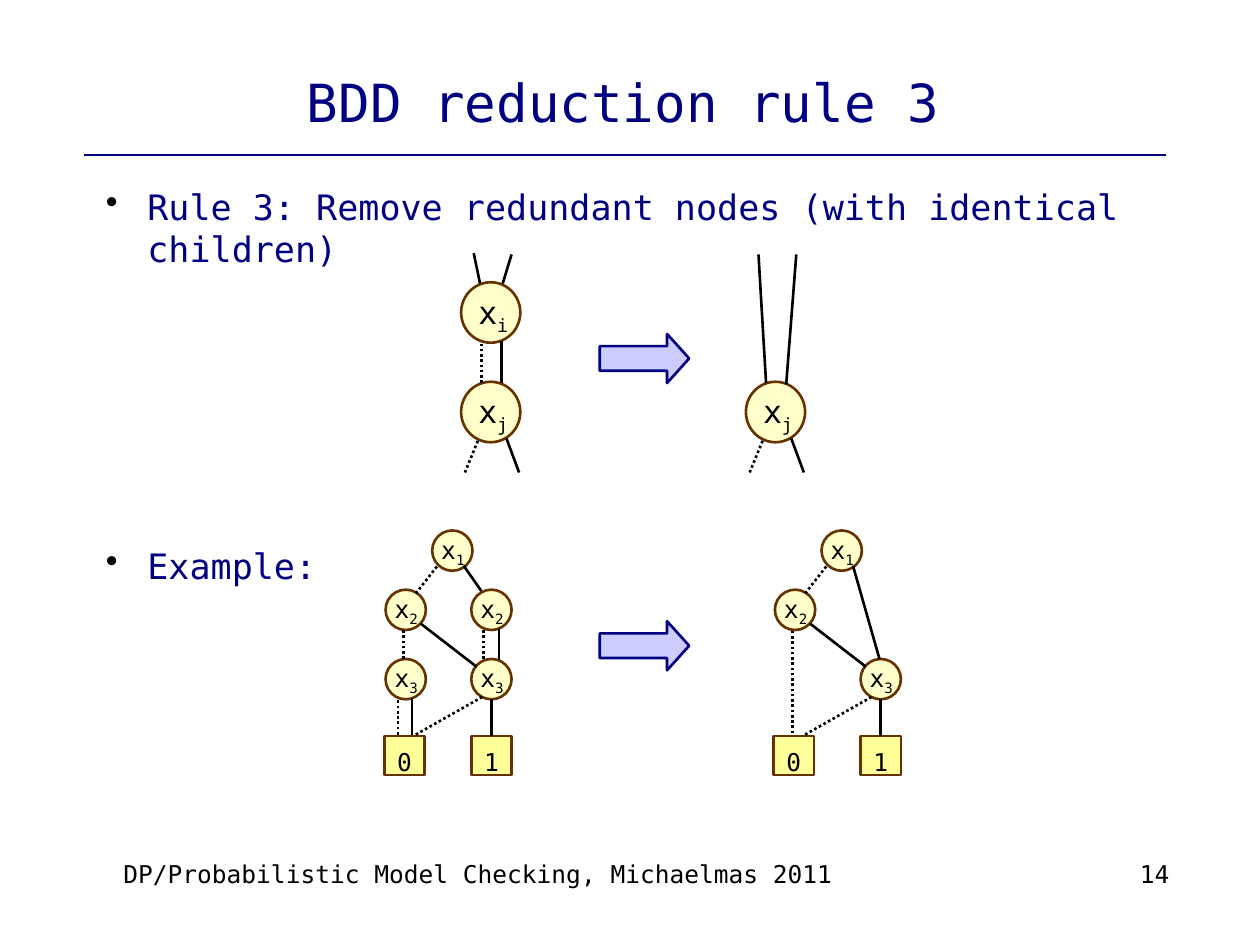
from lxml import etree
from pptx import Presentation
from pptx import util as u
from pptx.dml.color import RGBColor
from pptx.enum import dml, shapes, text
from pptx.oxml.ns import qn

FONT = "DejaVu Sans Mono"
NAVY, BLACK, BROWN = "000080", "000000", "663300"
CREAM, YELLOW, LILAC = "FFFFCC", "FFFF99", "CCCCFF"

TITLE = "BDD reduction rule 3"
FOOTER = "DP/Probabilistic Model Checking, Michaelmas 2011"
PAGE_NUMBER = "14"
# Bullet text, space before in points (room for the rule diagram)
BULLETS = [("Rule 3: Remove redundant nodes (with identical children)", 0),
           ("Example:", 157)]

# Node kinds: shape, width, height, fill, text size, left inset, top inset
KINDS = {
    "rule": (shapes.MSO_SHAPE.OVAL, 0.47, 0.48, CREAM, 18, 0.04, 0.03),
    "variable": (shapes.MSO_SHAPE.OVAL, 0.32, 0.32, CREAM, 14, 0.01, 0.01),
    "terminal": (shapes.MSO_SHAPE.RECTANGLE, 0.32, 0.31, YELLOW, 14, 0, 0.1),
}

# Nodes: kind, label, subscript, left, top
# Edges: start x, start y, end x, end y, dotted
RULE_SHARED = (
    [("rule", "x", "j", 3.66, 3.03)],
    [(3.69, 3.75, 3.80, 3.48, True), (4.12, 3.75, 4.02, 3.48, False)],
)
RULE_BEFORE = (
    [("rule", "x", "i", 3.66, 2.24)],
    [(3.82, 3.04, 3.82, 2.71, True), (3.98, 3.04, 3.98, 2.71, False),
     (3.81, 2.25, 3.76, 2.01, False), (3.99, 2.25, 4.06, 2.02, False)],
)
RULE_AFTER = (
    [],
    [(3.82, 3.04, 3.76, 2.02, False), (3.98, 3.05, 4.06, 2.02, False)],
)
EXAMPLE_SHARED = (
    [("variable", "x", "1", 3.43, 4.21), ("variable", "x", "2", 3.06, 4.68),
     ("variable", "x", "3", 3.74, 5.23),
     ("terminal", "0", "", 3.05, 5.84), ("terminal", "1", "", 3.74, 5.84)],
    [(3.30, 4.71, 3.48, 4.48, True), (3.30, 5.83, 3.83, 5.53, True),
     (3.34, 4.95, 3.78, 5.29, False), (3.90, 5.55, 3.90, 5.84, False)],
)
EXAMPLE_BEFORE = (
    [("variable", "x", "2", 3.74, 4.68), ("variable", "x", "3", 3.06, 5.23)],
    [(3.68, 4.49, 3.82, 4.69, False), (3.20, 5.23, 3.20, 4.99, True),
     (3.16, 5.83, 3.16, 5.54, True), (3.27, 5.54, 3.27, 5.83, False),
     (3.84, 5.23, 3.84, 4.99, True), (3.96, 4.99, 3.96, 5.24, False)],
)
EXAMPLE_AFTER = (
    [],
    [(3.68, 4.49, 3.89, 5.23, False), (3.20, 5.82, 3.20, 4.99, True)],
)
# Parts of each diagram and its shift to the right
DIAGRAMS = [
    ((EXAMPLE_SHARED, EXAMPLE_BEFORE), 0),
    ((EXAMPLE_SHARED, EXAMPLE_AFTER), 3.09),
    ((RULE_SHARED, RULE_BEFORE), 0),
    ((RULE_SHARED, RULE_AFTER), 2.26),
]
ARROW_TOPS = [4.93, 2.65]


def rgb(value):
    return RGBColor.from_string(value)


def add_span(para, words, size, color, subscript=False):
    span = para.add_run()
    span.text = words
    span.font.name = FONT
    span.font.size = u.Pt(size)
    span.font.color.rgb = rgb(color)
    if subscript:
        span.font._element.set("baseline", "-25000")


def set_frame(frame, left=0, top=0, wrap=True):
    frame.word_wrap = wrap
    frame.margin_left, frame.margin_top = u.Inches(left), u.Inches(top)
    frame.margin_right = frame.margin_bottom = 0


def add_box(page, left, top, width, height):
    box = page.shapes.add_textbox(*map(u.Inches, (left, top, width, height)))
    set_frame(box.text_frame)
    return box.text_frame


def add_line(parent, x1, y1, x2, y2, color=BLACK, dotted=False):
    line = parent.shapes.add_connector(
        shapes.MSO_CONNECTOR.STRAIGHT, *map(u.Inches, (x1, y1, x2, y2)))
    line.line.color.rgb = rgb(color)
    line.line.width = u.Pt(1.5)
    if dotted:
        line.line.dash_style = dml.MSO_LINE.ROUND_DOT
    etree.SubElement(line._element.spPr, qn("a:effectLst"))


def add_shape(parent, kind, left, top, width, height, fill, outline):
    shape = parent.shapes.add_shape(
        kind, *map(u.Inches, (left, top, width, height)))
    shape.shadow.inherit = False
    shape.fill.solid()
    shape.fill.fore_color.rgb = rgb(fill)
    shape.line.color.rgb = rgb(outline)
    shape.line.width = u.Pt(1.5)
    return shape


def add_node(parent, kind, label, subscript, left, top):
    preset, width, height, fill, size, inset_left, inset_top = KINDS[kind]
    node = add_shape(parent, preset, left, top, width, height, fill, BROWN)
    frame = node.text_frame
    set_frame(frame, inset_left, inset_top, wrap=False)
    frame.vertical_anchor = text.MSO_ANCHOR.MIDDLE
    para = frame.paragraphs[0]
    para.alignment = text.PP_ALIGN.CENTER
    add_span(para, label, size, BLACK)
    if subscript:
        add_span(para, subscript, size, BLACK, subscript=True)


def add_bullet(para):
    props = para._p.get_or_add_pPr()
    props.set("marL", str(u.Inches(0.44)))
    props.set("indent", str(u.Inches(-0.33)))
    color = etree.SubElement(props, qn("a:buClr"))
    etree.SubElement(color, qn("a:srgbClr"), val=BLACK)
    etree.SubElement(props, qn("a:buChar"), char="•")


def main():
    deck = Presentation()
    deck.slide_width, deck.slide_height = u.Inches(10), u.Inches(7.5)
    page = deck.slides.add_slide(deck.slide_layouts[6])

    # Title, rule line, footer and page number
    add_line(page, 0.67, 1.23, 9.25, 1.23, NAVY)
    center, left, right = (text.PP_ALIGN.CENTER, text.PP_ALIGN.LEFT,
                           text.PP_ALIGN.RIGHT)
    for words, place, size, color, align, spacing in [
            (PAGE_NUMBER, (7.67, 6.83, 1.61, 0.52), 14, BLACK, right, 0.96),
            (FOOTER, (0.98, 6.83, 5.83, 0.52), 14, BLACK, left, 0.96),
            (TITLE, (0.68, 0.37, 8.53, 0.86), 30, NAVY, center, 1.04)]:
        frame = add_box(page, *place)
        if words == TITLE:
            frame.vertical_anchor = text.MSO_ANCHOR.MIDDLE
        para = frame.paragraphs[0]
        para.alignment = align
        para.line_spacing = spacing
        add_span(para, words, size, color)

    # Bullets
    frame = add_box(page, 0.73, 1.47, 8.53, 5.2)
    for index, (words, space) in enumerate(BULLETS):
        para = frame.add_paragraph() if index else frame.paragraphs[0]
        add_bullet(para)
        if space:
            para.space_before = u.Pt(space)
        add_span(para, words, 20, NAVY)

    # Decision diagrams, each in its own group
    for parts, shift in DIAGRAMS:
        group = page.shapes.add_group_shape()
        for nodes, _ in parts:
            for kind, label, subscript, x, y in nodes:
                add_node(group, kind, label, subscript, x + shift, y)
        for _, edges in parts:
            for x1, y1, x2, y2, dotted in edges:
                add_line(group, x1 + shift, y1, x2 + shift, y2, dotted=dotted)

    # Arrows from before to after
    for top in ARROW_TOPS:
        arrow = add_shape(page, shapes.MSO_SHAPE.RIGHT_ARROW,
                          4.76, top, 0.71, 0.39, LILAC, NAVY)
        arrow.adjustments[1] = 0.45

    deck.save("out.pptx")


if __name__ == "__main__":
    main()
